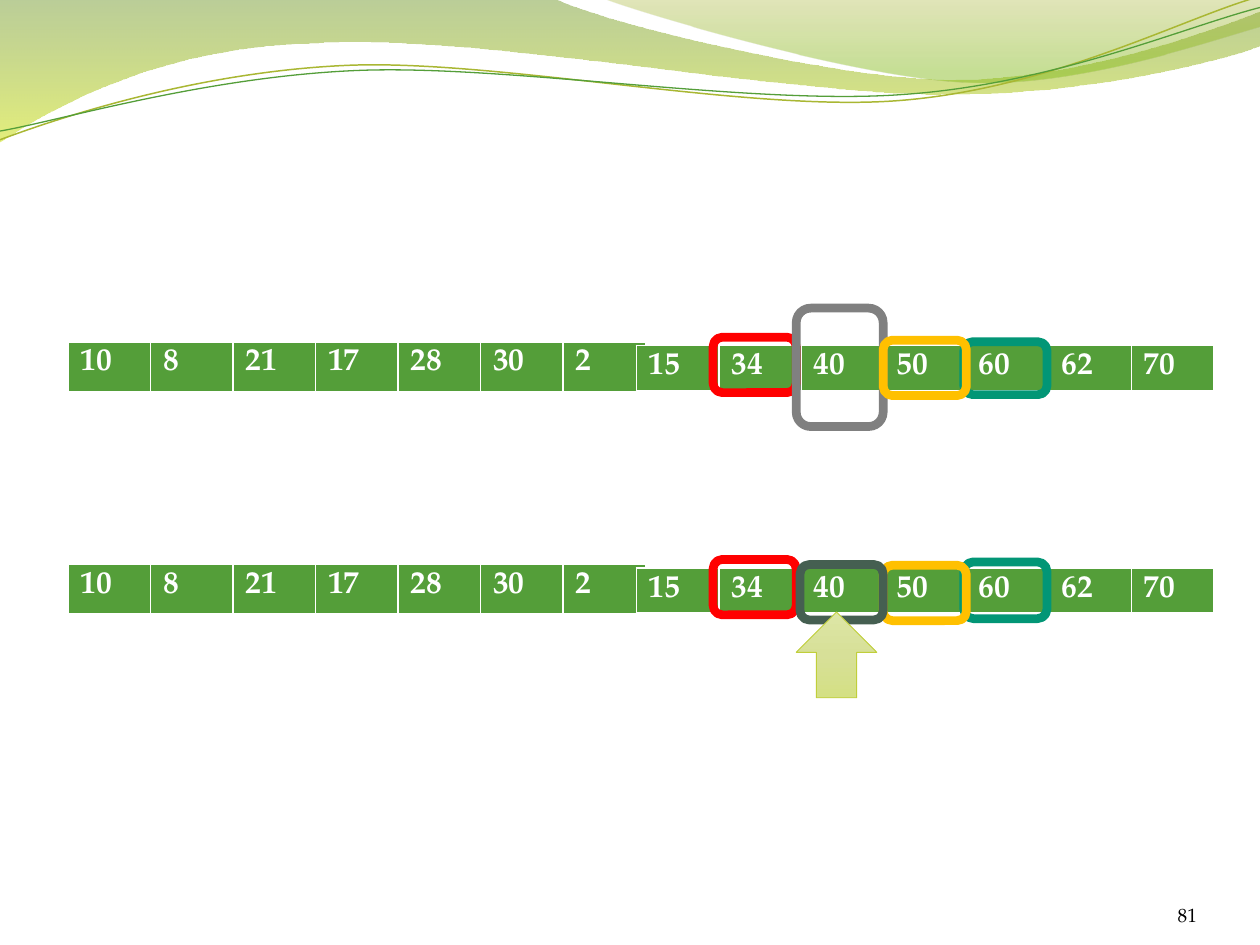
from math import cos, radians, sin

from lxml.etree import SubElement
from pptx import Presentation
from pptx.dml.color import RGBColor
from pptx.enum.shapes import MSO_SHAPE
from pptx.enum.text import MSO_ANCHOR, PP_ALIGN
from pptx.oxml import parse_xml
from pptx.oxml.ns import nsdecls, qn
from pptx.util import Pt

FONT = "TeX Gyre Pagella"
WHITE = RGBColor(0xFF, 0xFF, 0xFF)
BLACK = RGBColor(0, 0, 0)
GREEN = RGBColor(0x54, 0x9E, 0x39)
OLIVE = RGBColor(0xA9, 0xB7, 0x33)
RED = RGBColor(0xFF, 0, 0)
TEAL = RGBColor(0x02, 0x96, 0x76)
GRAY = RGBColor(0x80, 0x80, 0x80)
AMBER = RGBColor(0xFF, 0xC0, 0)
SLATE = RGBColor(0x45, 0x5F, 0x51)
LIME = RGBColor(0xC0, 0xCF, 0x3A)

# Content: two halves of the array, shown in two steps
LEFT_HALF = ["10", "8", "21", "17", "28", "30", "2"]
RIGHT_HALF = ["15", "34", "40", "50", "60", "62", "70"]
COL_W = 47.15
STEPS = [  # top of the array, then its frames: colour, x, y, width, height
    (195.3, [(RED, 407.5, 192.7, 47.5, 31.7),
             (TEAL, 550.8, 195.3, 47.5, 30.2),
             (GRAY, 455, 176.1, 49.7, 67.7),
             (AMBER, 504.7, 194.4, 47.5, 31.7)]),
    (322.5, [(RED, 407.5, 319.7, 47.5, 31.7),
             (TEAL, 550.8, 321.1, 47.5, 32.4),
             (AMBER, 504.7, 323, 47.5, 31.7),
             (SLATE, 457.2, 322.6, 47.5, 31.7)]),
]

# Waves: a start point, then lines (one point) and curves (three points)
WAVES = [
    ([(0, 0), [(316.8, -0.7)],
      [(342, 12.2), (477.4, 45.4), (545.8, 45.4)],
      [(614.2, 45.4), (689.8, 18.7), (720, 6.5)], [(720.7, 25.9)],
      [(707.8, 31.7), (625.7, 54.7), (537.1, 54)],
      [(447.8, 54), (274.3, 20.2), (185, 24.5)],
      [(92.9, 25.9), (33.1, 59.8), (-0.7, 81.4)]],
     [(0, "69921C", 45), (100, "CCE10F", 55)]),
    ([(344.9, -0.7), [(366.5, 7.9), (491, 44.6), (553, 46.8)],
      [(615.6, 49.7), (691.9, 23), (720, 15.1)], [(720, 0)]],
     [(0, "9BAA1A", 30), (80, "81BA16", 45)]),
]
TILT = -2.7
STRANDS = [  # outline, centre of the tilt, colour, width
    ([(0, 79.9), [(34.6, 67), (113, 41), (198.7, 37.4)],
      [(284.4, 33.8), (426.2, 64.1), (512.6, 57.6)],
      [(599.8, 51.1), (675.4, 10.8), (717.8, -1.4)]], (359.3, 41.4), OLIVE, 0.85),
    ([(0, 74.9), [(33.8, 69.1), (117.4, 43.9), (203.8, 40.3)],
      [(289.4, 36.7), (429.8, 60.5), (516.2, 54)],
      [(601.9, 48.2), (677.5, 15.1), (720, 4.3)]], (359.6, 42.5), GREEN, 0.75),
]
ARROW_STOPS = [(0, "DDE6A6", 100), (50, "D7E098", 100), (100, "D4E084", 100)]


def write(tf, text, size, color, bold=False, align=PP_ALIGN.LEFT):
    p = tf.paragraphs[0]
    p.alignment = align
    r = p.add_run()
    r.text = text
    r.font.name, r.font.size, r.font.bold = FONT, Pt(size), bold
    r.font.color.rgb = color


def style(sp, color=None, width=0, stops=None):
    """Outline in one colour, and a downward gradient or no fill."""
    sp.shadow.inherit = False
    sp.fill.background()
    if color is None:
        sp.line.fill.background()
    else:
        sp.line.color.rgb = color
        sp.line.width = Pt(width)
    if stops:
        gs = "".join(
            f'<a:gs pos="{pos * 1000}"><a:srgbClr val="{rgb}">'
            f'<a:alpha val="{alpha * 1000}"/></a:srgbClr></a:gs>'
            for pos, rgb, alpha in stops)
        grad = parse_xml(f'<a:gradFill {nsdecls("a")}><a:gsLst>{gs}</a:gsLst>'
                         '<a:lin ang="5400000" scaled="0"/></a:gradFill>')
        sp_pr = sp._element.spPr
        sp_pr.replace(sp_pr.find(qn("a:noFill")), grad)


def turn(point, centre, degrees):
    dx, dy = point[0] - centre[0], point[1] - centre[1]
    c, n = cos(radians(degrees)), sin(radians(degrees))
    return centre[0] + dx * c - dy * n, centre[1] + dx * n + dy * c


def add_curve(s, outline, close, centre=(0, 0), tilt=0):
    """Freeform whose three-point parts become cubic curves."""
    start, *parts = outline
    points = [start] + [point for part in parts for point in part]
    emu = [tuple(map(Pt, turn(point, centre, -tilt))) for point in points]
    builder = s.shapes.build_freeform(*emu[0])
    builder.add_line_segments(emu[1:], close=close)
    sp = builder.convert_to_shape()
    sp.rotation = tilt
    segments = iter(list(sp._element.iter(qn("a:lnTo"))))
    for part in parts:
        group = [next(segments) for _ in part]
        if len(part) == 3:
            curve = SubElement(group[0].getparent(), qn("a:cubicBezTo"))
            group[0].addprevious(curve)
            for segment in group:
                curve.append(segment[0])
                segment.getparent().remove(segment)
    return sp


def add_array(s, values, x, y, height):
    table = s.shapes.add_table(1, len(values), Pt(x), Pt(y),
                               Pt(COL_W * len(values)), Pt(height)).table
    for i, value in enumerate(values):
        table.columns[i].width = Pt(COL_W)
        cell = table.cell(0, i)
        cell.margin_bottom = Pt(1.5)
        cell.fill.solid()
        cell.fill.fore_color.rgb = GREEN
        write(cell.text_frame, value, 18, WHITE, bold=True)
        tc_pr = cell._tc.get_or_add_tcPr()
        for n, (side, width) in enumerate([("L", 1), ("R", 1), ("T", 1), ("B", 3)]):
            tc_pr.insert(n, parse_xml(
                f'<a:ln{side} {nsdecls("a")} w="{Pt(width)}"><a:solidFill>'
                f'<a:srgbClr val="{WHITE}"/></a:solidFill></a:ln{side}>'))


prs = Presentation()
prs.slide_width, prs.slide_height = Pt(720), Pt(540)
s = prs.slides.add_slide(prs.slide_layouts[6])

# Decorative waves along the top
for outline, stops in WAVES:
    style(add_curve(s, outline, close=True), stops=stops)
for outline, centre, color, width in STRANDS:
    style(add_curve(s, outline, close=False, centre=centre, tilt=TILT), color, width)

# Page number
tf = s.shapes.add_textbox(Pt(624.2), Pt(500.4), Pt(59.8), Pt(28.8)).text_frame
tf.word_wrap = True
tf.vertical_anchor = MSO_ANCHOR.BOTTOM
tf.margin_left = tf.margin_right = tf.margin_top = tf.margin_bottom = 0
write(tf, "81", 11, BLACK, align=PP_ALIGN.RIGHT)

# Arrays with their frames
for top, frames in STEPS:
    add_array(s, LEFT_HALF, 38.9, top, 29.2)
    add_array(s, RIGHT_HALF, 363.6, top + 2.1, 26.6)
    for color, *box in frames:
        style(s.shapes.add_shape(MSO_SHAPE.ROUNDED_RECTANGLE, *map(Pt, box)), color, 5)

# Arrow at the middle value
arrow = s.shapes.add_shape(MSO_SHAPE.UP_ARROW, Pt(455), Pt(349.7), Pt(46.1), Pt(49))
style(arrow, LIME, 0.5, ARROW_STOPS)

prs.save("out.pptx")
